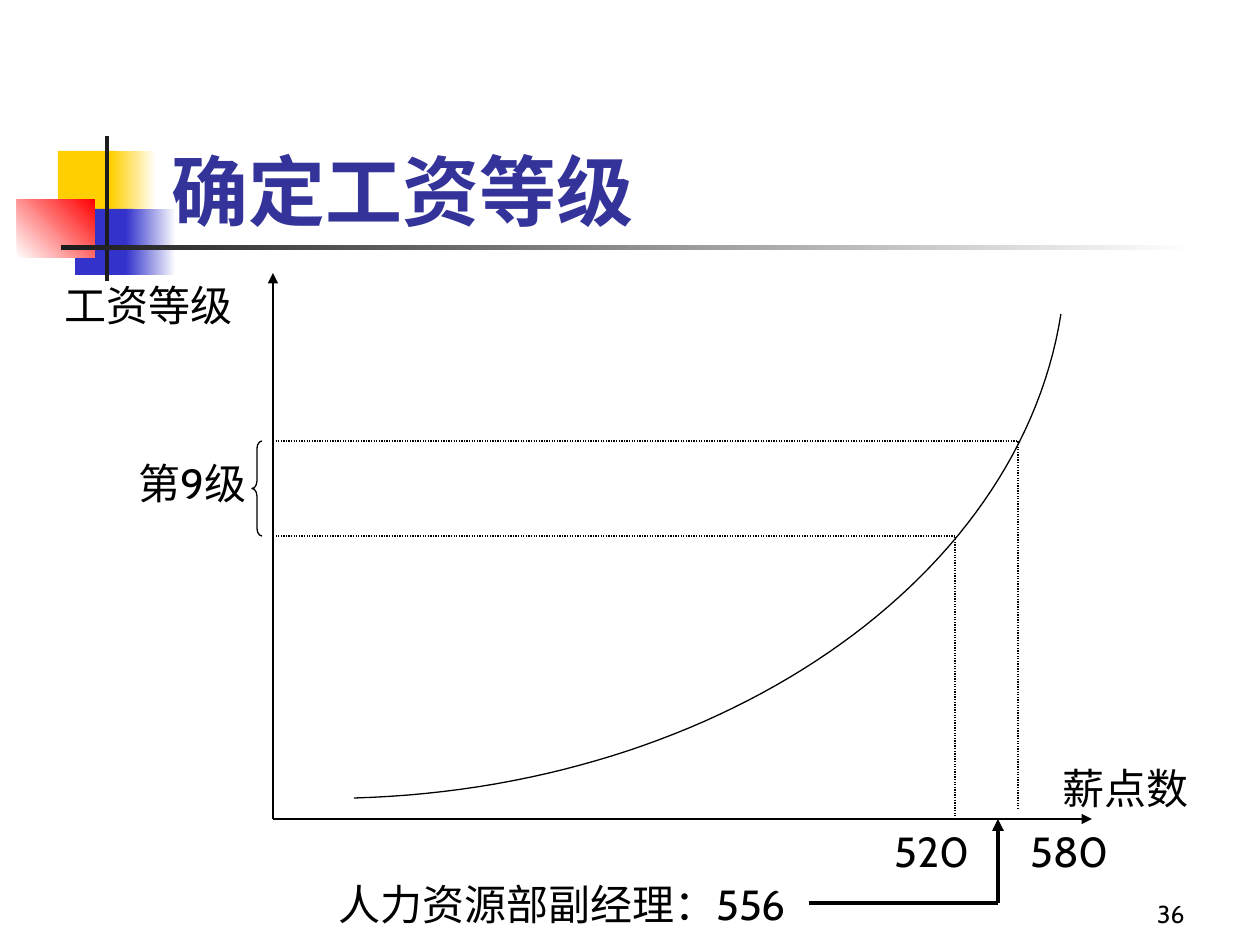
from lxml import etree
from pptx import Presentation
from pptx.dml.color import RGBColor
from pptx.enum.dml import MSO_LINE
from pptx.enum.shapes import MSO_CONNECTOR, MSO_SHAPE
from pptx.enum.text import MSO_ANCHOR, PP_ALIGN
from pptx.oxml.ns import qn
from pptx.util import Pt

SCALE = 914400 / 126  # EMU per px
FONT = "Cabin"
BLACK = RGBColor(0x00, 0x00, 0x00)
WHITE = RGBColor(0xFF, 0xFF, 0xFF)
NAVY = RGBColor(0x33, 0x33, 0x99)
YELLOW = RGBColor(0xFF, 0xCF, 0x01)
BLUE = RGBColor(0x33, 0x33, 0xCC)
RED = RGBColor(0xFF, 0x00, 0x00)
DARK = RGBColor(0x1C, 0x1C, 0x1C)

# Content, in px
TITLE = ("确定工资等级", (159, 84, 1073, 158))
DECORATION = [  # left, top, width, height, colours, angle
    (58, 151, 60, 66, [YELLOW], 0),
    (111, 151, 45, 66, [YELLOW, WHITE], 0),
    (75, 209, 58, 66, [BLUE], 0),
    (126, 209, 50, 66, [BLUE, WHITE], 0),
    (17, 199, 78, 59, [WHITE, RED], 45),
    (105, 136, 4, 145, [DARK], 0),
    (61, 245, 1134, 5, [DARK, WHITE], 0),
]
LABELS = [
    ("薪点数", (1050, 756, 158, 63)),
    ("工资等级", (52, 273, 210, 63)),
    ("580", (1018, 819, 105, 63)),
    ("520", (882, 819, 105, 63)),
    ("第9级", (126, 451, 136, 113)),
    ("人力资源部副经理：556", (326, 872, 483, 113)),
]
PAGE_NUMBER = ("36", (935, 872, 262, 63))
ORIGIN_X, ORIGIN_Y = 273, 819
AXIS_TOP, AXIS_RIGHT = 273, 1092
GRADE_TOP, GRADE_BOTTOM = 441, 536
GUIDES = [  # score x, grade y, lower end
    (1018, GRADE_TOP, 809),
    (955, GRADE_BOTTOM, ORIGIN_Y),
]
CURVE = [(354, 798), (718, 788), (1019, 582), (1061, 314)]
CURVE_STEPS = 60
POINTER_LEFT, POINTER_X, POINTER_Y = 809, 998, 903


def px(value):
    return round(value * SCALE)


def place(shape, box):
    shape.left, shape.top, shape.width, shape.height = map(px, box)


def write(shape, text, size=24, color=BLACK, bold=False,
          align=PP_ALIGN.LEFT, anchor=MSO_ANCHOR.TOP):
    frame = shape.text_frame
    frame.word_wrap = True
    frame.vertical_anchor = anchor
    para = frame.paragraphs[0]
    para.alignment = align
    span = para.add_run()
    span.text = text
    span.font.name = FONT
    span.font.size = Pt(size)
    span.font.bold = bold
    span.font.color.rgb = color


def add_text(page, text, box, **look):
    write(page.shapes.add_textbox(*map(px, box)), text, **look)


def add_line(page, start, end, width=0.75, arrow=False, dotted=False):
    line = page.shapes.add_connector(
        MSO_CONNECTOR.STRAIGHT, *map(px, start + end))
    line.line.color.rgb = BLACK
    line.line.width = Pt(width)
    if dotted:
        line.line.dash_style = MSO_LINE.ROUND_DOT
    if arrow:
        etree.SubElement(line.line._get_or_add_ln(), qn("a:tailEnd"),
                         type="triangle")
    etree.SubElement(line.element.spPr, qn("a:effectLst"))


def add_block(page, left, top, width, height, colors, angle):
    block = page.shapes.add_shape(
        MSO_SHAPE.RECTANGLE, *map(px, (left, top, width, height)))
    block.shadow.inherit = False
    block.line.fill.background()
    if len(colors) == 1:
        block.fill.solid()
        block.fill.fore_color.rgb = colors[0]
    else:
        block.fill.gradient()
        block.fill.gradient_angle = angle
        for stop, color in zip(block.fill.gradient_stops, colors):
            stop.color.rgb = color


def outline(shape):
    shape.shadow.inherit = False
    shape.fill.background()
    shape.line.color.rgb = BLACK
    shape.line.width = Pt(0.75)


def curve_point(t):
    weights = ((1 - t) ** 3, 3 * t * (1 - t) ** 2, 3 * t ** 2 * (1 - t), t ** 3)
    return tuple(px(sum(w * point[axis] for w, point in zip(weights, CURVE)))
                 for axis in (0, 1))


def main():
    deck = Presentation()
    deck.slide_width, deck.slide_height = px(1260), px(945)
    page = deck.slides.add_slide(deck.slide_layouts[5])

    # Decoration, with the title in front of it
    for block in DECORATION:
        add_block(page, *block)
    title = page.shapes.title
    text, box = TITLE
    place(title, box)
    write(title, text, size=44, color=NAVY, bold=True,
          anchor=MSO_ANCHOR.BOTTOM)
    title.element.getparent().append(title.element)

    # Axes
    origin = (ORIGIN_X, ORIGIN_Y)
    for end in ((ORIGIN_X, AXIS_TOP), (AXIS_RIGHT, ORIGIN_Y)):
        add_line(page, origin, end, arrow=True)

    # Pay curve
    points = [curve_point(i / CURVE_STEPS) for i in range(CURVE_STEPS + 1)]
    builder = page.shapes.build_freeform(*points[0])
    builder.add_line_segments(points[1:], close=False)
    outline(builder.convert_to_shape())

    # Guides from the axes to the curve
    for x, y, lower in GUIDES:
        add_line(page, (ORIGIN_X, y), (x, y), dotted=True)
        add_line(page, (x, lower), (x, y), dotted=True)

    # Brace over the grade range
    brace = page.shapes.add_shape(
        MSO_SHAPE.LEFT_BRACE,
        *map(px, (252, GRADE_TOP, 10, GRADE_BOTTOM - GRADE_TOP)))
    brace.adjustments[0] = 0.75
    outline(brace)

    # Labels
    for text, box in LABELS:
        add_text(page, text, box)
    text, box = PAGE_NUMBER
    add_text(page, text, box, size=14, align=PP_ALIGN.RIGHT,
             anchor=MSO_ANCHOR.BOTTOM)

    # Pointer from the example post to its score
    corner = (POINTER_X, POINTER_Y)
    add_line(page, (POINTER_LEFT, POINTER_Y), corner, width=2.25)
    add_line(page, corner, (POINTER_X, ORIGIN_Y), width=2.25, arrow=True)

    deck.save("out.pptx")


if __name__ == "__main__":
    main()
